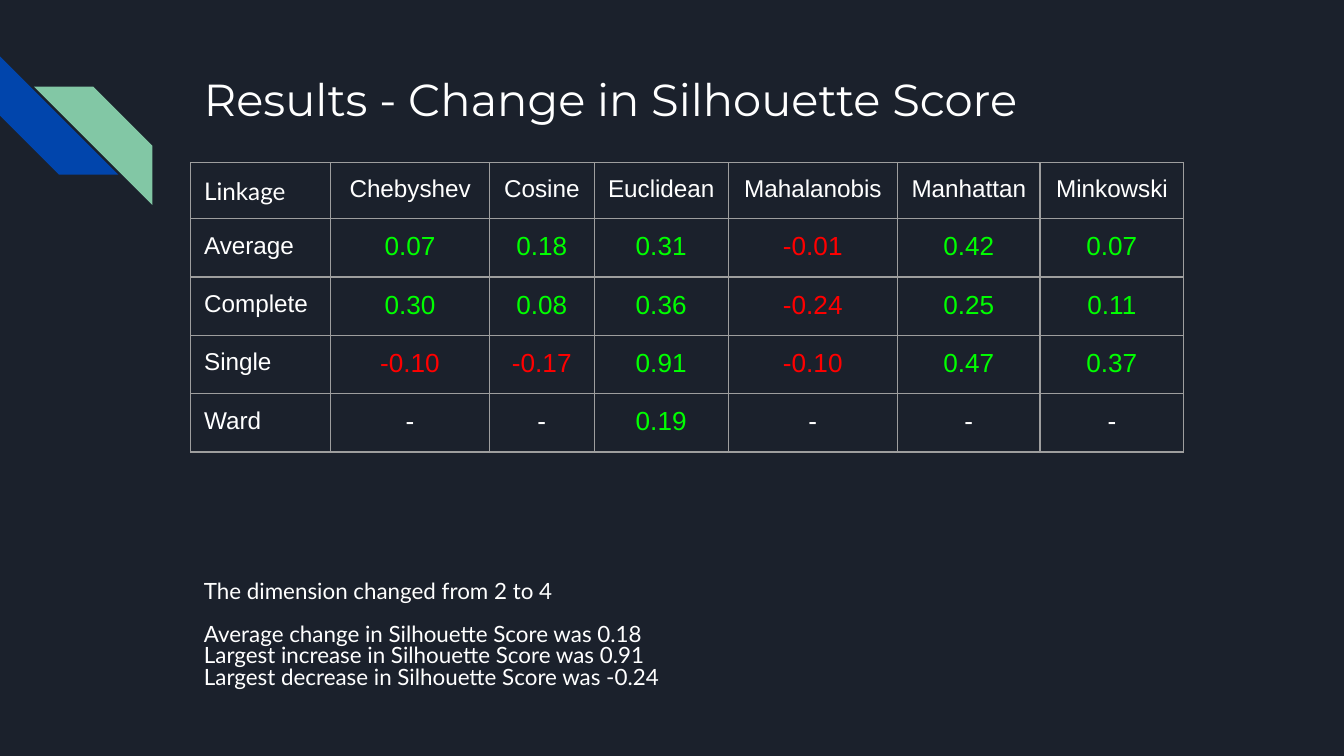
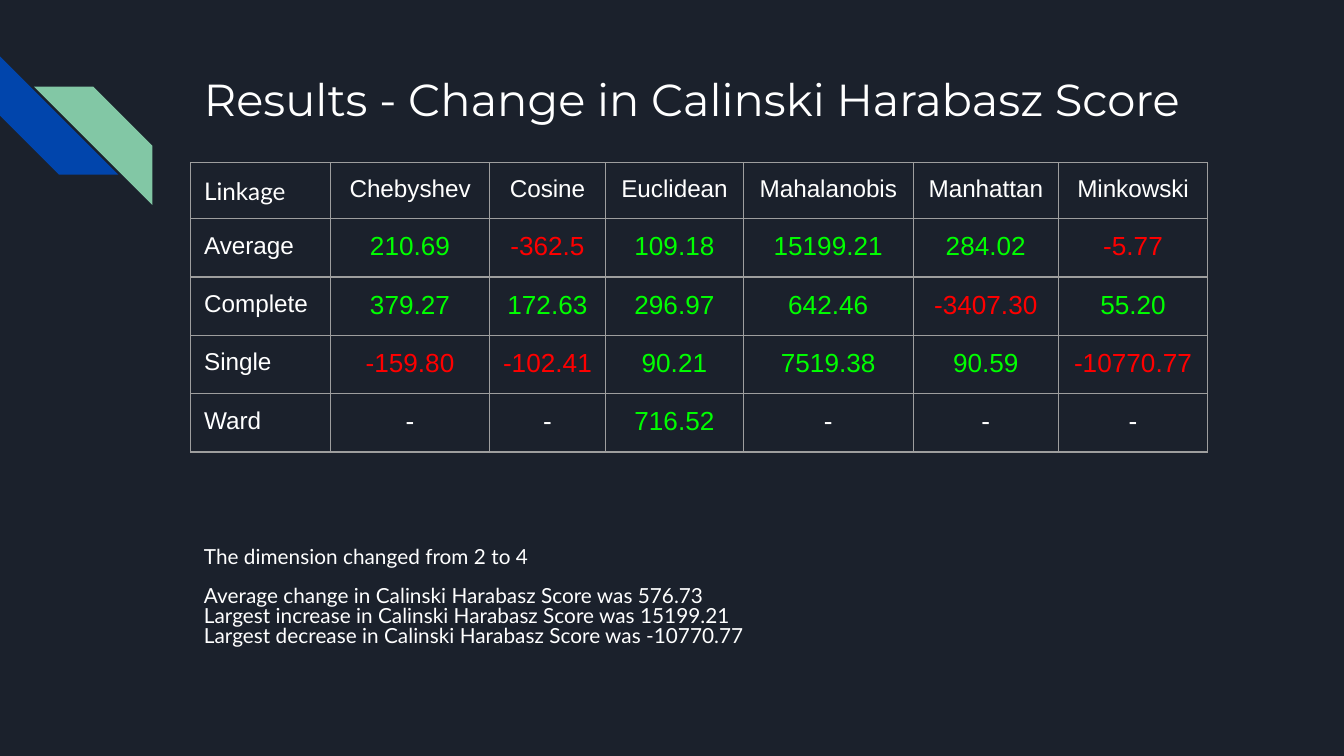
from lxml import etree
from pptx import Presentation
from pptx.dml.color import RGBColor
from pptx.enum.shapes import MSO_SHAPE
from pptx.enum.text import MSO_ANCHOR, PP_ALIGN
from pptx.oxml.ns import qn
from pptx.util import Pt

STRIPE = MSO_SHAPE.DIAGONAL_STRIPE
TOP, BOTTOM = MSO_ANCHOR.TOP, MSO_ANCHOR.BOTTOM
LEFT, CENTER = PP_ALIGN.LEFT, PP_ALIGN.CENTER

HUES = {"back": "1B212C", "blue": "0145AC", "mint": "82C7A5", "text": "FFFFFF",
        "rise": "00FF00", "fall": "FF0000", "rule": "9E9E9E"}
HEAD, BODY, CELL = "Montserrat", "Lato", "Arial"
PAD = 7.2
EDGE = 102.2  # left edge shared by title, table and notes
WIDE = 554.4

METRICS = ["Linkage", "Chebyshev", "Cosine", "Euclidean",
           "Mahalanobis", "Manhattan", "Minkowski"]
SLIDES = [
    {"score": "Silhouette Score",
     "cols": [75, 85, 56.2, 71.8, 90.7, 76.4, 77],
     "rows": [["Average", "0.07", "0.18", "0.31", "-0.01", "0.42", "0.07"],
              ["Complete", "0.30", "0.08", "0.36", "-0.24", "0.25", "0.11"],
              ["Single", "-0.10", "-0.17", "0.91", "-0.10", "0.47", "0.37"],
              ["Ward", "-", "-", "0.19", "-", "-", "-"]],
     "facts": ["0.18", "0.91", "-0.24"],
     "size": 12, "tall": 303.8, "foot": 15},
    {"score": "Calinski Harabasz Score",
     "cols": [75, 85, 62.3, 73.8, 91, 77.8, 80],
     "rows": [["Average", "210.69", "-362.5", "109.18", "15199.21", "284.02", "-5.77"],
              ["Complete", "379.27", "172.63", "296.97", "642.46", "-3407.30", "55.20"],
              ["Single", "-159.80", "-102.41", "90.21", "7519.38", "90.59", "-10770.77"],
              ["Ward", "-", "-", "716.52", "-", "-", "-"]],
     "facts": ["576.73", "15199.21", "-10770.77"],
     "size": 11.1, "tall": 273.6, "foot": PAD},
]


def rgb(name):
    return RGBColor.from_string(HUES[name])


def add_run(para, text, font, size, hue="text"):
    run = para.add_run()
    run.text = text
    run.font.name = font
    run.font.size = Pt(size)
    run.font.color.rgb = rgb(hue)


def add_box(slide, x, y, w, h, anchor=TOP, foot=PAD):
    frame = slide.shapes.add_textbox(Pt(x), Pt(y), Pt(w), Pt(h)).text_frame
    frame.word_wrap = True
    frame.vertical_anchor = anchor
    frame.margin_left = frame.margin_right = frame.margin_top = Pt(PAD)
    frame.margin_bottom = Pt(foot)
    return frame


# Corner mark: two crossing stripes
def add_mark(slide, x, y, side):
    for dx, dy, hue in ((0, 0, "blue"), (18.2, 16.2, "mint")):
        band = slide.shapes.add_shape(STRIPE, Pt(x + dx), Pt(y + dy), Pt(side), Pt(side))
        band.adjustments[0] = 0.5
        band.shadow.inherit = False
        band.fill.solid()
        band.fill.fore_color.rgb = rgb(hue)
        band.line.fill.background()
        if hue == "blue":
            band.rotation = 270
        else:
            band._element.spPr.find(qn("a:xfrm")).set("flipH", "1")


def add_title(slide, x, y, w, h, text):
    add_run(add_box(slide, x, y, w, h).paragraphs[0], text, HEAD, 24)


# Notes: one lead line, then the three facts after a gap of one line
def add_notes(slide, x, y, w, h, item):
    frame = add_box(slide, x, y, w, h, BOTTOM, item["foot"])
    kinds = ["Average change", "Largest increase", "Largest decrease"]
    lines = ["The dimension changed from 2 to 4"]
    lines += [f"{kind} in {item['score']} was {fact}"
              for kind, fact in zip(kinds, item["facts"])]
    for i, line in enumerate(lines):
        para = frame.paragraphs[0] if i == 0 else frame.add_paragraph()
        para.line_spacing = 0.8
        para.space_before = Pt(item["size"] * 0.96 if i == 1 else 0)
        add_run(para, line, BODY, item["size"])


def add_rules(cell):
    props = cell._tc.get_or_add_tcPr()
    for i, side in enumerate(("lnL", "lnR", "lnT", "lnB")):
        line = etree.Element(qn("a:" + side), w=str(Pt(0.75)))
        fill = etree.SubElement(line, qn("a:solidFill"))
        etree.SubElement(fill, qn("a:srgbClr"), val=HUES["rule"])
        props.insert(i, line)


def pick_hue(text):
    if text == "-":
        return "text"
    return "fall" if text.startswith("-") else "rise"


# Score table: rises in green, falls in red
def add_scores(slide, x, y, cols, rows, high=30):
    grid = slide.shapes.add_table(len(rows), len(cols), Pt(x), Pt(y),
                                  Pt(sum(cols)), Pt(high * len(rows))).table
    grid.first_row = grid.horz_banding = False
    for col, wide in zip(grid.columns, cols):
        col.width = Pt(wide)
    for r, row in enumerate(rows):
        grid.rows[r].height = Pt(high)
        for c, text in enumerate(row):
            cell = grid.cell(r, c)
            cell.fill.background()
            cell.margin_left = cell.margin_right = Pt(PAD)
            cell.margin_top = cell.margin_bottom = Pt(PAD)
            add_rules(cell)
            para = cell.text_frame.paragraphs[0]
            para.alignment = CENTER if c else LEFT
            if r and c:
                add_run(para, text, CELL, 14, pick_hue(text))
            else:
                add_run(para, text, CELL if r or c else BODY, 13)


def add_result(deck, item):
    slide = deck.slides.add_slide(deck.slide_layouts[6])
    slide.background.fill.solid()
    slide.background.fill.fore_color.rgb = rgb("back")
    add_mark(slide, 0, 30.2, 63.4)
    add_title(slide, EDGE, 31, WIDE, 40.3, "Results - Change in " + item["score"])
    add_notes(slide, EDGE, 80.6, WIDE, item["tall"], item)
    add_scores(slide, EDGE, 87.1, item["cols"], [METRICS] + item["rows"])


deck = Presentation()
deck.slide_width, deck.slide_height = Pt(720), Pt(405)
for item in SLIDES:
    add_result(deck, item)
deck.save("out.pptx")
